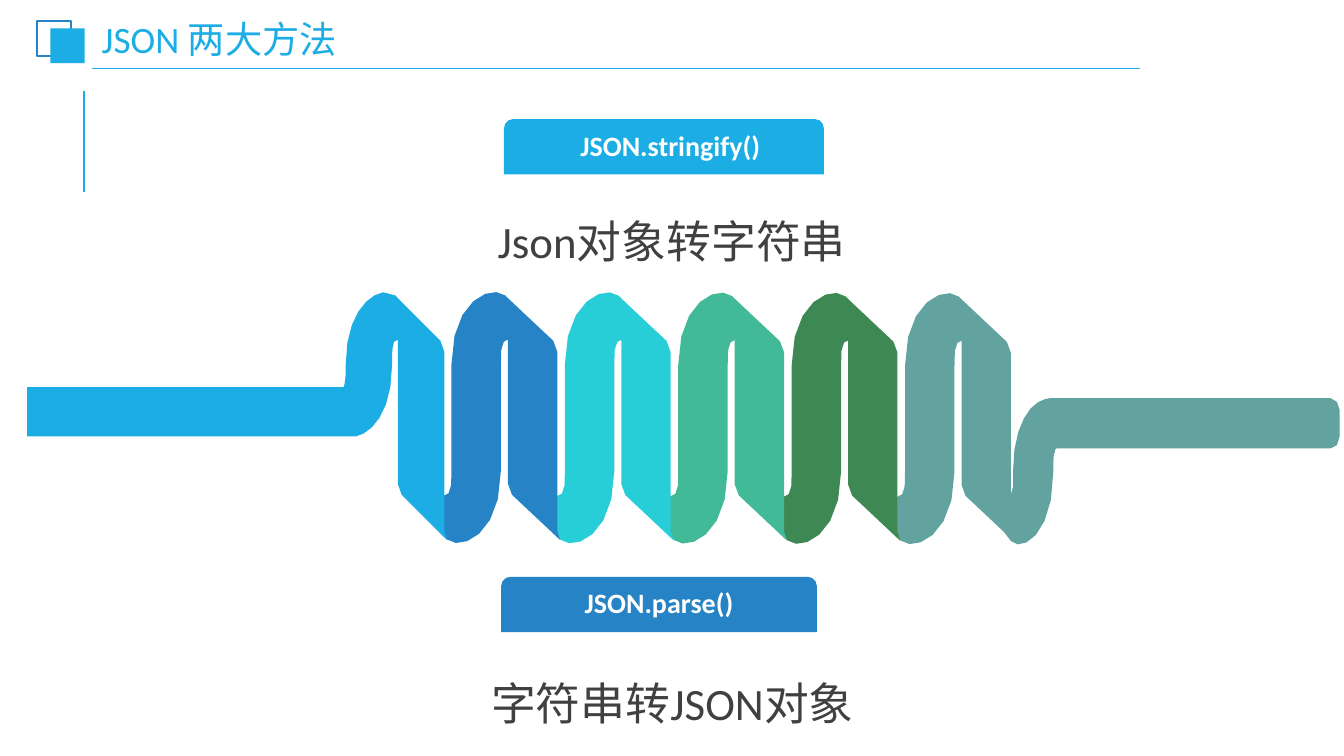
import math
from dataclasses import dataclass

from lxml import etree
from pptx import Presentation
from pptx.dml.color import RGBColor
from pptx.enum import shapes as kinds, text as modes
from pptx.oxml import ns
from pptx.util import Pt

SKY = RGBColor(0x1C, 0xAD, 0xE4)
BLUE = RGBColor(0x26, 0x83, 0xC6)
AQUA = RGBColor(0x27, 0xCE, 0xD7)
MINT = RGBColor(0x42, 0xBA, 0x97)
GREEN = RGBColor(0x3E, 0x88, 0x53)
SLATE = RGBColor(0x62, 0xA3, 0x9F)
WHITE = RGBColor(0xFF, 0xFF, 0xFF)
GREY = RGBColor(0x40, 0x40, 0x40)

FONT = "Calibri"
LEFT = 322.5
PITCH = 81
DROP = 0.2
CHORD = 9
MOST = 6

Step = tuple[float, ...]
Path = list[Step]


@dataclass
class Box:
    left: float
    top: float
    width: float
    height: float


@dataclass
class Label:
    box: Box
    words: str
    size: float
    color: RGBColor
    bold: bool = False
    gap: float = 1.0
    align: modes.PP_ALIGN = modes.PP_ALIGN.CENTER
    anchor: modes.MSO_ANCHOR = modes.MSO_ANCHOR.TOP
    inset: float = 7.2
    grow: bool = True


@dataclass
class Tab:
    box: Box
    color: RGBColor


@dataclass
class Rule:
    x1: float
    y1: float
    x2: float
    y2: float
    width: float


BEND_HALF = [
    (35.3, 336.2), (35.3, 260.6),
    (35.3, 252, 35.3, 246.2, 37.4, 244.1),
    (43.9, 237.6, 50.4, 241.2, 51.8, 236.2),
    (54, 229.7, 43.9, 216, 38.2, 211),
    (28.8, 203, 0, 213.8, 0, 260.3),
]
SLANT_HALF = [
    (75.6, 379.4), (75.6, 251.3),
    (75.6, 249.8, 75.6, 246.2, 72.7, 243.4),
    (38.2, 211),
    (38.9, 211, 40.3, 213.8, 40.3, 217.4),
]
HEAD = [
    (273.6, 208.8),
    (277.2, 208.1, 280.1, 208.8, 282.2, 211),
    (288, 216, 297.4, 229.7, 295.9, 236.2),
    (294.5, 241.2, 288, 237.6, 281.5, 244.1),
    (280.1, 246.2, 280.1, 252, 280.1, 260.6),
    (280.1, 295.2, 265, 309.6, 254.2, 311.8),
    (19.4, 311.8), (19.4, 276.5), (245.5, 276.5), (246.2, 274.3),
    (247, 271.4, 247, 266.4, 247, 260.6),
    (247, 226.1, 262.1, 211, 273.6, 208.8),
]
TAIL = [
    (750.2, 284.4), (950.4, 284.4),
    (954, 284.4, 956.9, 288.7, 956.9, 293),
    (956.9, 311.8),
    (956.9, 316.8, 954, 320.4, 950.4, 320.4),
    (754.6, 320.4), (753.8, 321.1),
    (752.4, 322.6, 752.4, 328.3, 752.4, 337),
    (752.4, 383, 729.4, 394.6, 722.2, 386.6),
    (717.1, 380.9, 709.2, 367.9, 710.6, 360.7),
    (711.4, 356.4, 717.1, 359.3, 722.2, 352.8),
    (724.3, 351.4, 723.6, 345.6, 723.6, 337),
    (723.6, 302.4, 736.6, 287.3, 746.6, 285.1),
    (748, 285, 749, 284.4, 750.2, 284.4),
]


def remap(path: Path, kx: float, dx: float, ky: float, dy: float) -> Path:
    return [tuple(v * ky + dy if i % 2 else v * kx + dx
                  for i, v in enumerate(step)) for step in path]


def mirror(half: Path) -> Path:
    start, end = half[0], half[-1][-2:]
    turn = remap(half, -1, start[0] + end[0], -1, start[1] + end[1])
    return half + turn[1:]


def flatten(path: Path) -> list[Step]:
    spots = [path[0]]
    for step in path[1:]:
        if len(step) == 2:
            spots.append(step)
            continue
        x0, y0 = spots[-1]
        x1, y1, x2, y2, x3, y3 = step
        cuts = min(MOST, math.ceil(math.dist((x0, y0), (x3, y3)) / CHORD))
        for cut in range(1, cuts + 1):
            t = cut / cuts
            a, b, c, d = (1 - t) ** 3, 3 * t * (1 - t) ** 2, 3 * t * t * (1 - t), t ** 3
            spots.append((a * x0 + b * x1 + c * x2 + d * x3,
                          a * y0 + b * y1 + c * y2 + d * y3))
    return spots


def paint(shape, color: RGBColor) -> None:
    shape.shadow.inherit = False
    shape.fill.solid()
    shape.fill.fore_color.rgb = color
    shape.line.fill.background()


def add_path(slide, path: Path, color: RGBColor) -> None:
    spots = [(Pt(x), Pt(y)) for x, y in flatten(path)]
    pen = slide.shapes.build_freeform(*spots[0], scale=1.0)
    pen.add_line_segments(spots[1:], close=True)
    paint(pen.convert_to_shape(), color)


def add_block(slide, kind, box: Box, color: RGBColor):
    shape = slide.shapes.add_shape(kind, Pt(box.left), Pt(box.top), Pt(box.width), Pt(box.height))
    paint(shape, color)
    return shape


def add_rule(slide, rule: Rule) -> None:
    line = slide.shapes.add_connector(kinds.MSO_CONNECTOR.STRAIGHT, Pt(rule.x1), Pt(rule.y1),
                                      Pt(rule.x2), Pt(rule.y2))
    line.line.color.rgb = SKY
    line.line.width = Pt(rule.width)
    etree.SubElement(line._element.spPr, ns.qn("a:effectLst"))


def add_label(slide, label: Label) -> None:
    box = label.box
    frame = slide.shapes.add_textbox(Pt(box.left), Pt(box.top), Pt(box.width),
                                     Pt(box.height)).text_frame
    frame.word_wrap = True
    frame.auto_size = (modes.MSO_AUTO_SIZE.SHAPE_TO_FIT_TEXT if label.grow
                       else modes.MSO_AUTO_SIZE.NONE)
    frame.vertical_anchor = label.anchor
    frame.margin_left = Pt(label.inset)
    para = frame.paragraphs[0]
    para.alignment = label.align
    para.line_spacing = label.gap
    run = para.add_run()
    run.text = label.words
    run.font.name = FONT
    run.font.size = Pt(label.size)
    run.font.bold = label.bold
    run.font.color.rgb = label.color


def main() -> None:
    deck = Presentation()
    deck.slide_width, deck.slide_height = Pt(960), Pt(540)
    slide = deck.slides.add_slide(deck.slide_layouts[6])

    for rule in (Rule(60, 137, 60, 65, 1.5), Rule(66, 49, 814.5, 49, 1.25)):
        add_rule(slide, rule)
    rect = kinds.MSO_SHAPE.RECTANGLE
    frame = add_block(slide, rect, Box(26.5, 15, 24.5, 25), WHITE)
    frame.fill.background()
    frame.line.color.rgb = BLUE
    frame.line.width = Pt(1.5)
    add_block(slide, rect, Box(36, 20.2, 24.5, 25), SKY)

    bend, slant = mirror(BEND_HALF), mirror(SLANT_HALF)
    add_path(slide, TAIL, SLATE)
    coils = list(enumerate((BLUE, AQUA, MINT, GREEN, SLATE)))
    for rank, color in reversed(coils):
        for part in (bend, slant):
            add_path(slide, remap(part, 1, LEFT + rank * PITCH, 1, rank * DROP), color)
    add_path(slide, HEAD, SKY)
    add_path(slide, remap(slant, 0.94, LEFT - PITCH + 4.8, 1, 0), SKY)

    for tab in (Tab(Box(360, 85, 228.5, 39.5), SKY), Tab(Box(358, 412, 225.5, 39.5), BLUE)):
        add_block(slide, kinds.MSO_SHAPE.ROUND_2_SAME_RECTANGLE, tab.box, tab.color)
    for label in (
        Label(Box(67.7, 16.5, 283, 26.6), "JSON 两大方法", 26.6, SKY, gap=0.9,
              align=modes.PP_ALIGN.LEFT, anchor=modes.MSO_ANCHOR.MIDDLE, inset=5, grow=False),
        Label(Box(360, 88.5, 228.5, 31.5), "JSON.stringify()", 20, WHITE, bold=True, inset=16.2),
        Label(Box(335.5, 137.5, 288.7, 54), "Json对象转字符串", 32, GREY, gap=1.3),
        Label(Box(358, 414.7, 225.5, 31.5), "JSON.parse()", 20, WHITE, bold=True),
        Label(Box(323.3, 467.3, 314, 54), "字符串转JSON对象", 32, GREY, gap=1.3),
    ):
        add_label(slide, label)
    deck.save("out.pptx")


if __name__ == "__main__":
    main()
